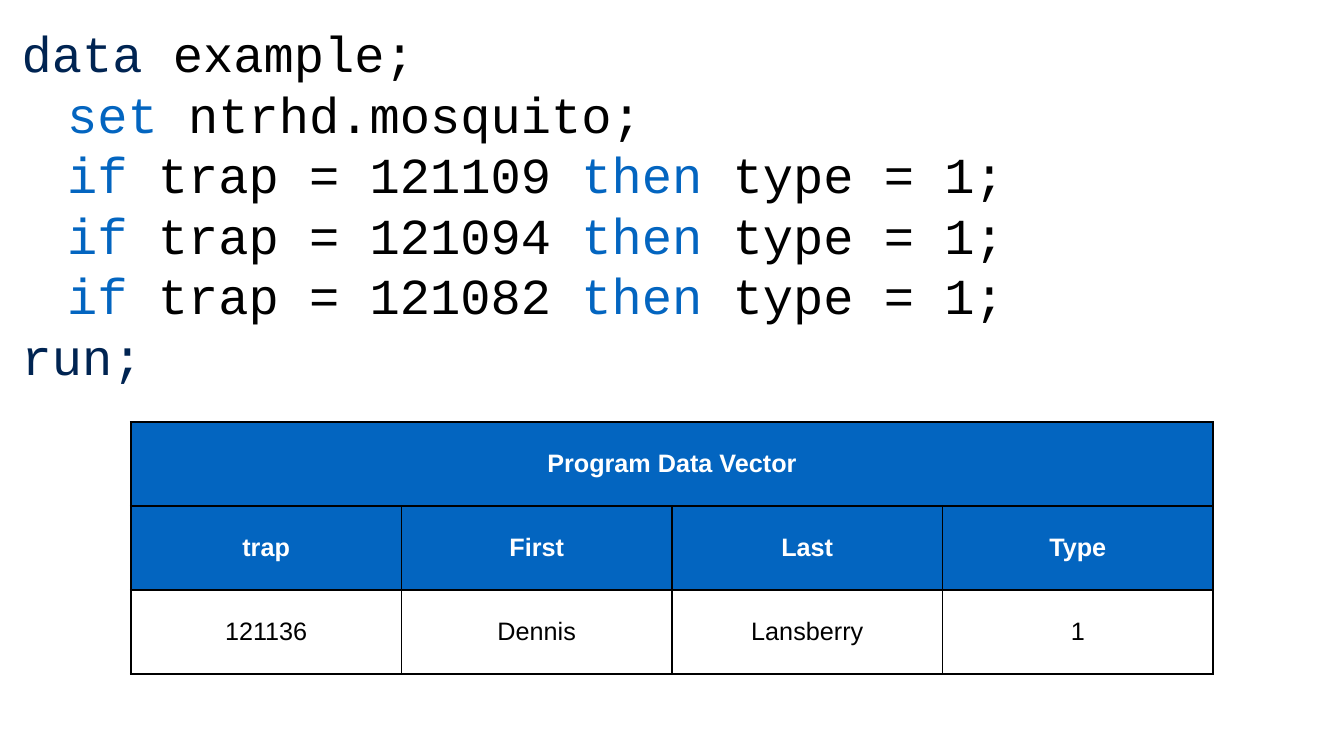
import pptx
import pptx.dml.color
import pptx.enum.text
import pptx.oxml
import pptx.util

EMU_PER_PX = 12700
BLACK = pptx.dml.color.RGBColor(0x00, 0x00, 0x00)
WHITE = pptx.dml.color.RGBColor(0xFF, 0xFF, 0xFF)
BLUE = pptx.dml.color.RGBColor(0x03, 0x65, 0xC0)
NAVY = pptx.dml.color.RGBColor(0x00, 0x24, 0x52)
MARGIN = 4
INDENT = 65
TRAPS = (121109, 121094, 121082)
CODE = [
    (0, [("data", NAVY), (" example;", BLACK)]),
    (INDENT, [("set", BLUE), (" ntrhd.mosquito;", BLACK)]),
    *[
        (INDENT, [("if", BLUE), (f" trap = {trap} ", BLACK), ("then", BLUE), (" type = 1;", BLACK)])
        for trap in TRAPS
    ],
    (0, [("run;", NAVY)]),
]
VECTOR_ROWS = [
    ["Program Data Vector"],
    ["trap", "First", "Last", "Type"],
    ["121136", "Dennis", "Lansberry", "1"],
]


def px(length):
    return pptx.util.Emu(length * EMU_PER_PX)


def set_margins(target):
    target.margin_left = target.margin_right = px(MARGIN)
    target.margin_top = target.margin_bottom = px(MARGIN)


def add_code(slide, left, top, width, height):
    shape = slide.shapes.add_textbox(px(left), px(top), px(width), px(height))
    frame = shape.text_frame
    frame.word_wrap = False
    frame.auto_size = pptx.enum.text.MSO_AUTO_SIZE.SHAPE_TO_FIT_TEXT
    set_margins(frame)
    for index, (indent, parts) in enumerate(CODE):
        paragraph = frame.add_paragraph() if index else frame.paragraphs[0]
        paragraph.alignment = pptx.enum.text.PP_ALIGN.LEFT
        paragraph.font.name = "Courier New"
        paragraph.font.size = pptx.util.Pt(72)
        paragraph._p.get_or_add_pPr().set("marL", str(px(indent)))
        for text, color in parts:
            run = paragraph.add_run()
            run.text = text
            run.font.color.rgb = color


def add_borders(cell):
    properties = cell._tc.get_or_add_tcPr()
    for position, side in enumerate(("lnL", "lnR", "lnT", "lnB")):
        border = pptx.oxml.parse_xml(
            f'<a:{side} xmlns:a="http://schemas.openxmlformats.org/drawingml/2006/main"'
            f' w="{pptx.util.Pt(3)}"><a:solidFill><a:srgbClr val="{BLACK}"/></a:solidFill></a:{side}>'
        )
        properties.insert(position, border)


def style_cell(cell, is_header):
    cell.fill.solid()
    cell.fill.fore_color.rgb = BLUE if is_header else WHITE
    cell.vertical_anchor = pptx.enum.text.MSO_ANCHOR.MIDDLE
    set_margins(cell)
    add_borders(cell)
    paragraph = cell.text_frame.paragraphs[0]
    paragraph.alignment = pptx.enum.text.PP_ALIGN.CENTER
    paragraph.font.name = "Arial"
    paragraph.font.size = pptx.util.Pt(36)
    paragraph.font.bold = is_header
    paragraph.font.color.rgb = WHITE if is_header else BLACK


def add_data_vector(slide, left, top, width, height):
    row_count, column_count = len(VECTOR_ROWS), len(VECTOR_ROWS[-1])
    table = slide.shapes.add_table(
        row_count, column_count, px(left), px(top), px(width), px(height)
    ).table
    table.cell(0, 0).merge(table.cell(0, column_count - 1))
    for row_index, texts in enumerate(VECTOR_ROWS):
        for column_index, text in enumerate(texts):
            table.cell(row_index, column_index).text = text
        for column_index in range(column_count):
            style_cell(table.cell(row_index, column_index), row_index < 2)


def main():
    presentation = pptx.Presentation()
    presentation.slide_width = px(1920)
    presentation.slide_height = px(1080)
    slide = presentation.slides.add_slide(presentation.slide_layouts[6])
    add_data_vector(slide, 187, 603, 1546, 360)
    add_code(slide, 27, 28, 1457, 500)
    presentation.save("out.pptx")


if __name__ == "__main__":
    main()
